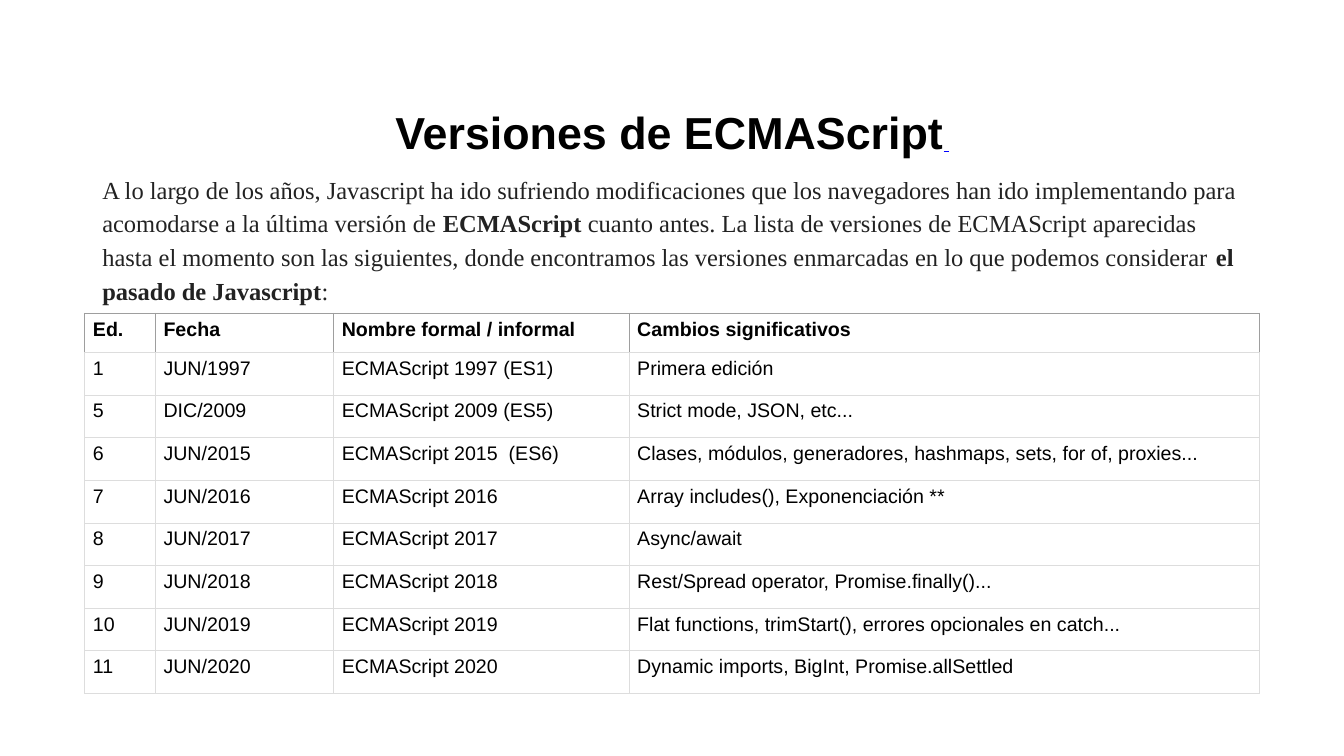
"""Build a slide listing the ECMAScript versions in a table."""
from lxml import etree
from pptx import Presentation
from pptx.dml.color import RGBColor
from pptx.enum.text import MSO_ANCHOR, MSO_AUTO_SIZE, PP_ALIGN
from pptx.oxml.ns import qn
from pptx.util import Pt

CENTER = PP_ALIGN.CENTER
MIDDLE = MSO_ANCHOR.MIDDLE
NO_AUTOFIT = MSO_AUTO_SIZE.NONE

INTRO = [
    ("A lo largo de los años, Javascript ha ido sufriendo modificaciones que los "
     "navegadores han ido implementando para acomodarse a la última versión de ", False),
    ("ECMAScript", True),
    (" cuanto antes. La lista de versiones de ECMAScript aparecidas hasta el momento "
     "son las siguientes, donde encontramos las versiones enmarcadas en lo que "
     "podemos considerar ", False),
    ("el pasado de Javascript", True),
    (":", False),
]
VERSIONS = [
    ("Ed.", "Fecha", "Nombre formal / informal", "Cambios significativos"),
    ("1", "JUN/1997", "ECMAScript 1997 (ES1)", "Primera edición"),
    ("5", "DIC/2009", "ECMAScript 2009 (ES5)", "Strict mode, JSON, etc..."),
    ("6", "JUN/2015", "ECMAScript 2015  (ES6)",
     "Clases, módulos, generadores, hashmaps, sets, for of, proxies..."),
    ("7", "JUN/2016", "ECMAScript 2016", "Array includes(), Exponenciación **"),
    ("8", "JUN/2017", "ECMAScript 2017", "Async/await"),
    ("9", "JUN/2018", "ECMAScript 2018", "Rest/Spread operator, Promise.finally()..."),
    ("10", "JUN/2019", "ECMAScript 2019",
     "Flat functions, trimStart(), errores opcionales en catch..."),
    ("11", "JUN/2020", "ECMAScript 2020", "Dynamic imports, BigInt, Promise.allSettled"),
]
COLUMN_WIDTHS = [50.4, 127.4, 211, 450]
HEADER_HEIGHT, ROW_HEIGHT = 28, 30.45


def set_font(font, name, size, color, bold=False):
    font.name, font.size, font.bold = name, Pt(size), bold
    font.color.rgb = RGBColor.from_string(color)


def add_border(cell, side, color):
    line = etree.SubElement(cell._tc.get_or_add_tcPr(), qn(f"a:ln{side}"), w=str(Pt(0.74)))
    fill = etree.SubElement(line, qn("a:solidFill"))
    etree.SubElement(fill, qn("a:srgbClr"), val=color)


deck = Presentation()
deck.slide_width, deck.slide_height = Pt(960), Pt(540)
page = deck.slides.add_slide(deck.slide_layouts[5])

title = page.shapes.title
title.left, title.top, title.width, title.height = Pt(66), Pt(28.8), Pt(828), Pt(74)
title.text_frame.auto_size = NO_AUTOFIT
title.text_frame.vertical_anchor = MIDDLE
para = title.text_frame.paragraphs[0]
para.alignment = CENTER
para.line_spacing, para.space_before, para.space_after = 2.46, Pt(38), Pt(4)
span = para.add_run()
span.text = "Versiones de ECMAScript"
set_font(span.font, "Arial", 32, "000000", True)
span = para.add_run()
span.text = " "
set_font(span.font, "Arial", 13, "0000FF", True)
span.font.underline = True

intro = page.shapes.add_textbox(Pt(66), Pt(118), Pt(828), Pt(131))
intro.text_frame.word_wrap = True
para = intro.text_frame.paragraphs[0]
para.line_spacing, para.space_before = 1.15, Pt(26)
for text, bold in INTRO:
    span = para.add_run()
    span.text = text
    set_font(span.font, "Times New Roman", 17.5, "222222", bold)

table_height = HEADER_HEIGHT + ROW_HEIGHT * (len(VERSIONS) - 1)
table = page.shapes.add_table(len(VERSIONS), len(COLUMN_WIDTHS), Pt(60.6), Pt(223.8),
                              Pt(sum(COLUMN_WIDTHS)), Pt(table_height)).table
table.first_row = table.horz_banding = False
for column, width in zip(table.columns, COLUMN_WIDTHS):
    column.width = Pt(width)
for index, version in enumerate(VERSIONS):
    header = index == 0
    table.rows[index].height = Pt(HEADER_HEIGHT if header else ROW_HEIGHT)
    for cell, text in zip(table.rows[index].cells, version):
        cell.text = text
        cell.margin_left = cell.margin_right = Pt(5.8)
        cell.margin_top = cell.margin_bottom = Pt(3.6)
        set_font(cell.text_frame.paragraphs[0].font, "Arial", 14, "000000", header)
        for side in "LRTB":
            add_border(cell, side, "9E9E9E" if header and side != "B" else "DDDDDD")
        cell.fill.background()

deck.save("out.pptx")
